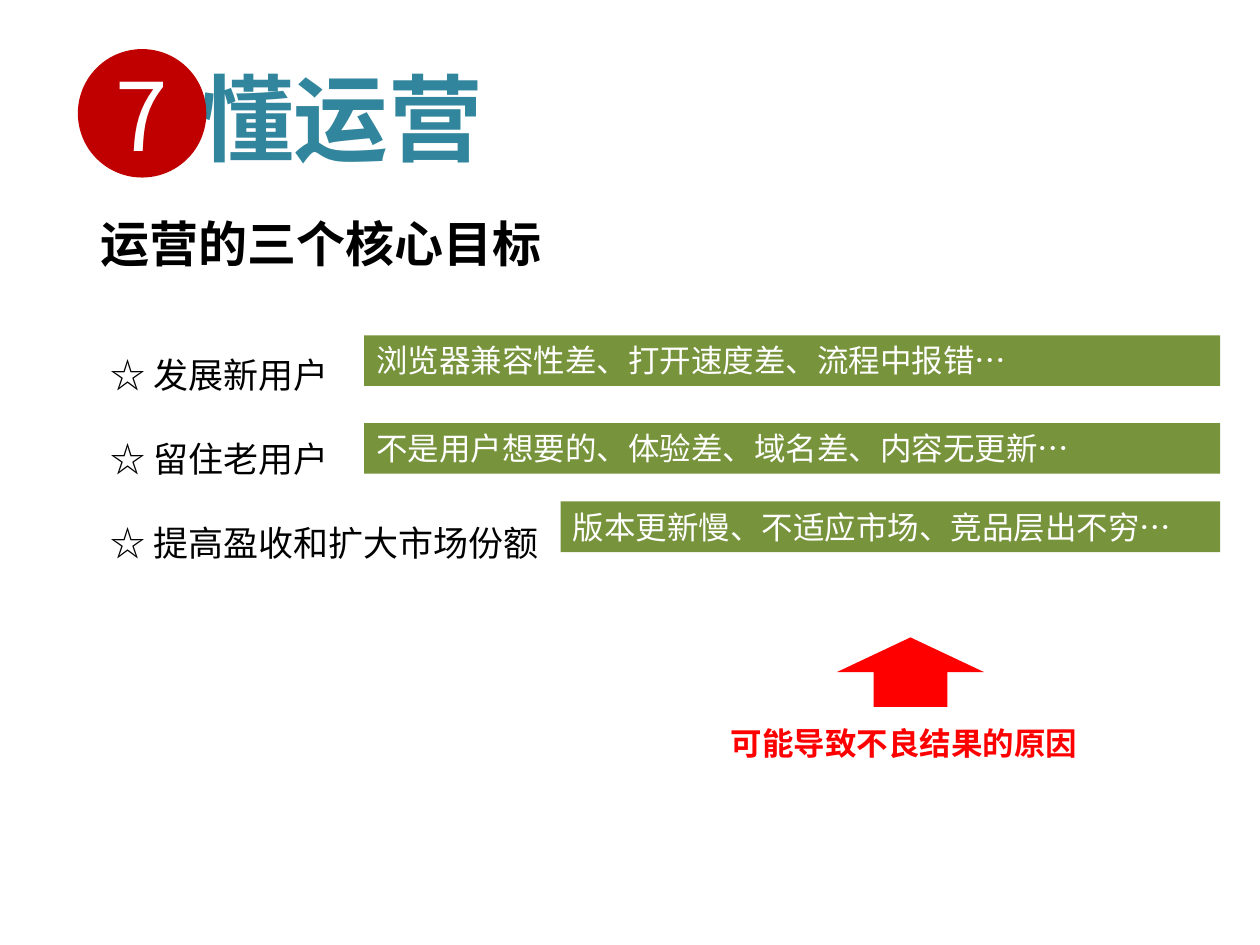
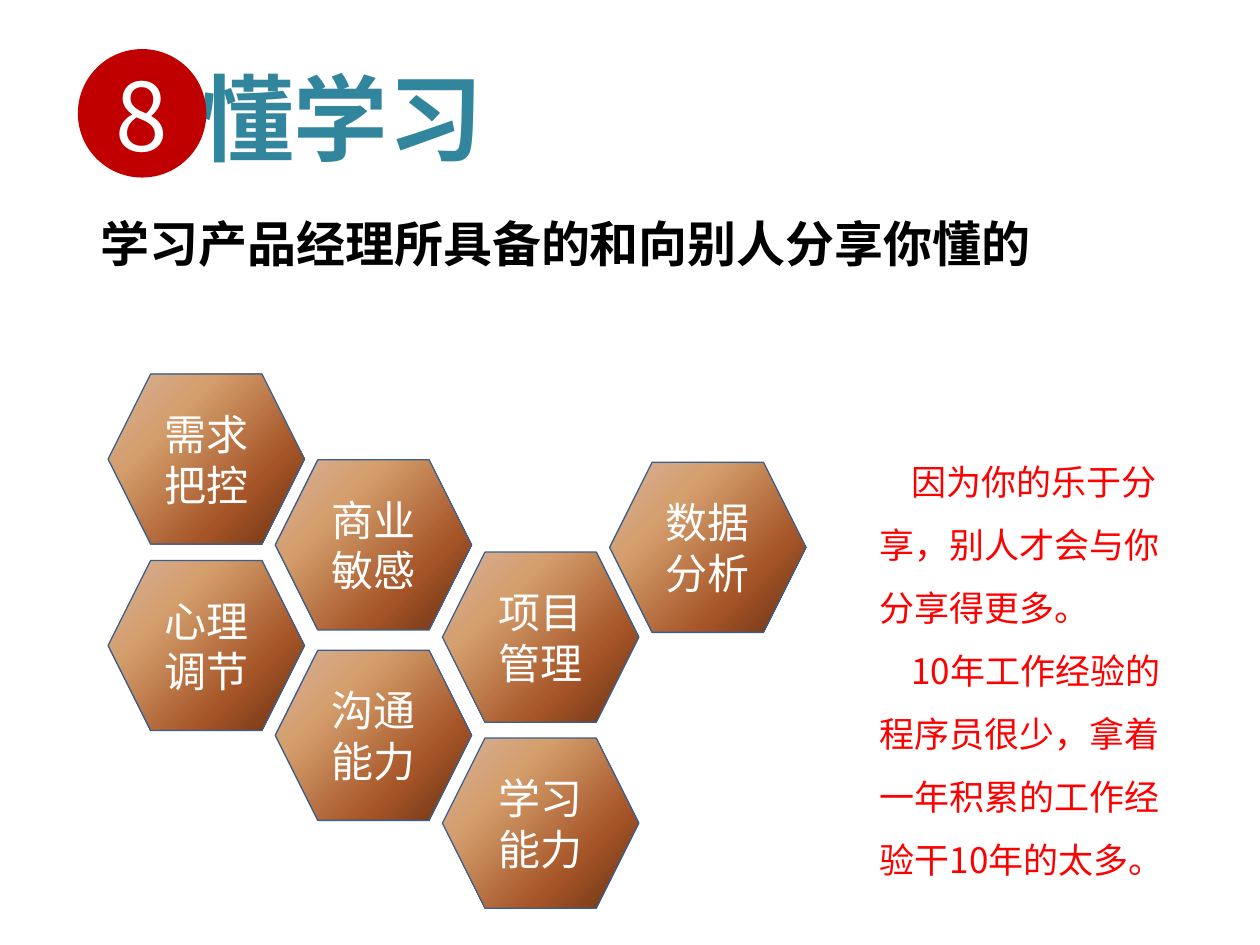
"""Builds two slides on understanding operations and understanding learning."""
from copy import deepcopy

from lxml import etree
from pptx import Presentation
from pptx.dml.color import RGBColor
from pptx.enum.shapes import MSO_SHAPE
from pptx.enum.text import MSO_ANCHOR, PP_ALIGN
from pptx.oxml.ns import qn
from pptx.util import Cm, Pt

OVAL, RECTANGLE = MSO_SHAPE.OVAL, MSO_SHAPE.RECTANGLE
HEXAGON, UP_ARROW = MSO_SHAPE.HEXAGON, MSO_SHAPE.UP_ARROW
TOP, MIDDLE = MSO_ANCHOR.TOP, MSO_ANCHOR.MIDDLE
LEFT, CENTER = PP_ALIGN.LEFT, PP_ALIGN.CENTER

FONT = "Noto Sans CJK SC"
WHITE = RGBColor(0xFF, 0xFF, 0xFF)
BLACK = RGBColor(0x00, 0x00, 0x00)
RED = RGBColor(0xFF, 0x00, 0x00)
DARK_RED = RGBColor(0xC0, 0x00, 0x00)
TEAL = RGBColor(0x31, 0x85, 0x9C)
GREEN = RGBColor(0x77, 0x93, 0x3C)
BLUE = RGBColor(0x3A, 0x5F, 0x8C)
COPPER = [
    (0, RGBColor(0xD6, 0xB1, 0x9C)),
    (0.3, RGBColor(0xD4, 0x9E, 0x6C)),
    (0.7, RGBColor(0xA6, 0x55, 0x28)),
    (1, RGBColor(0x66, 0x30, 0x12)),
]

GOALS = ["☆ 发展新用户", "☆ 留住老用户", "☆ 提高盈收和扩大市场份额"]
CAUSES = [
    (7.34, 6.76, "浏览器兼容性差、打开速度差、流程中报错…"),
    (7.34, 8.53, "不是用户想要的、体验差、域名差、内容无更新…"),
    (11.3, 10.11, "版本更新慢、不适应市场、竞品层出不穷…"),
]
CAUSES_RIGHT, CAUSE_HEIGHT = 24.6, 1.02
CAUSES_CAPTION = "可能导致不良结果的原因"

SKILL_COLUMNS = [
    [(7.54, ["需求", "把控"]), (11.3, ["心理调节"])],
    [(9.27, ["商业敏感"]), (13.11, ["沟通能力"])],
    [(11.13, ["项目管理"]), (14.88, ["学习能力"])],
    [(9.32, ["数据分析"])],
]
SKILLS_LEFT, SKILL_STEP = 2.18, 3.37
SKILL_WIDTH, SKILL_HEIGHT = 3.96, 3.43
SHARING = [
    "因为你的乐于分享，别人才会与你分享得更多。",
    "10年工作经验的程序员很少，拿着一年积累的工作经验干10年的太多。",
]


def write(shape, lines, size, color, bold=False, align=LEFT, anchor=TOP, spacing=1, indent=0):
    frame = shape.text_frame
    frame.word_wrap = True
    frame.vertical_anchor = anchor
    for index, line in enumerate(lines):
        paragraph = frame.add_paragraph() if index else frame.paragraphs[0]
        paragraph.alignment = align
        paragraph.line_spacing = spacing
        if indent:
            paragraph._p.get_or_add_pPr().set("indent", str(Cm(indent)))
        run = paragraph.add_run()
        run.text = line
        run.font.size = Pt(size)
        run.font.bold = bold
        run.font.color.rgb = color
        run.font.name = FONT
        etree.SubElement(run._r.get_or_add_rPr(), qn("a:ea"), typeface=FONT)


def add_text(slide, box, lines, size, color, **style):
    text_box = slide.shapes.add_textbox(*map(Cm, box))
    write(text_box, lines, size, color, **style)
    return text_box


def add_solid(slide, kind, box, color):
    shape = slide.shapes.add_shape(kind, *map(Cm, box))
    shape.shadow.inherit = False
    shape.fill.solid()
    shape.fill.fore_color.rgb = color
    shape.line.fill.background()
    return shape


def fill_copper(shape):
    shape.fill.gradient()
    shape.fill.gradient_angle = 315
    stop_list = shape._element.spPr.find(".//" + qn("a:gsLst"))
    while len(stop_list) < len(COPPER):
        stop_list.append(deepcopy(stop_list[0]))
    for stop, (position, color) in zip(shape.fill.gradient_stops, COPPER):
        stop.position = position
        stop.color.rgb = color


def add_chapter_slide(presentation, number, title, subtitle):
    slide = presentation.slides.add_slide(presentation.slide_layouts[6])
    heading = add_text(slide, (1.27, 0.76, 22.86, 3.17), [title], 54, TEAL, bold=True, anchor=MIDDLE)
    heading.text_frame.margin_left = Cm(2.75)
    badge = add_solid(slide, OVAL, (1.57, 0.99, 2.59, 2.59), DARK_RED)
    write(badge, [number], 54, WHITE, align=CENTER, anchor=MIDDLE)
    add_text(slide, (1.78, 4.17, 22.22, 1.45), [subtitle], 28, BLACK, bold=True)
    return slide


def build_operations(presentation):
    slide = add_chapter_slide(presentation, "7", "懂运营", "运营的三个核心目标")
    add_text(slide, (1.98, 6.15, 21.82, 5.38), GOALS, 20, BLACK, spacing=2.0)
    for left, top, cause in CAUSES:
        bar = add_solid(slide, RECTANGLE, (left, top, CAUSES_RIGHT - left, CAUSE_HEIGHT), GREEN)
        write(bar, [cause], 18, WHITE)
    add_solid(slide, UP_ARROW, (16.87, 12.85, 2.97, 1.4), RED)
    add_text(slide, (14.48, 14.48, 7.95, 1.02), [CAUSES_CAPTION], 18, RED, bold=True)


def build_learning(presentation):
    slide = add_chapter_slide(presentation, "8", "懂学习", "学习产品经理所具备的和向别人分享你懂的")
    for column, skills in enumerate(SKILL_COLUMNS):
        left = SKILLS_LEFT + column * SKILL_STEP
        for top, lines in skills:
            box = (left, top, SKILL_WIDTH, SKILL_HEIGHT)
            hexagon = slide.shapes.add_shape(HEXAGON, *map(Cm, box))
            hexagon.shadow.inherit = False
            fill_copper(hexagon)
            hexagon.line.color.rgb = BLUE
            hexagon.line.width = Pt(0.75)
            write(hexagon, lines, 24, WHITE, align=CENTER, anchor=MIDDLE)
    add_text(slide, (17.48, 8.74, 6.76, 9.25), SHARING, 20, RED, spacing=1.5, indent=0.64)


def main():
    presentation = Presentation()
    presentation.slide_width, presentation.slide_height = Cm(25.4), Cm(19.05)
    build_operations(presentation)
    build_learning(presentation)
    presentation.save("out.pptx")


if __name__ == "__main__":
    main()
